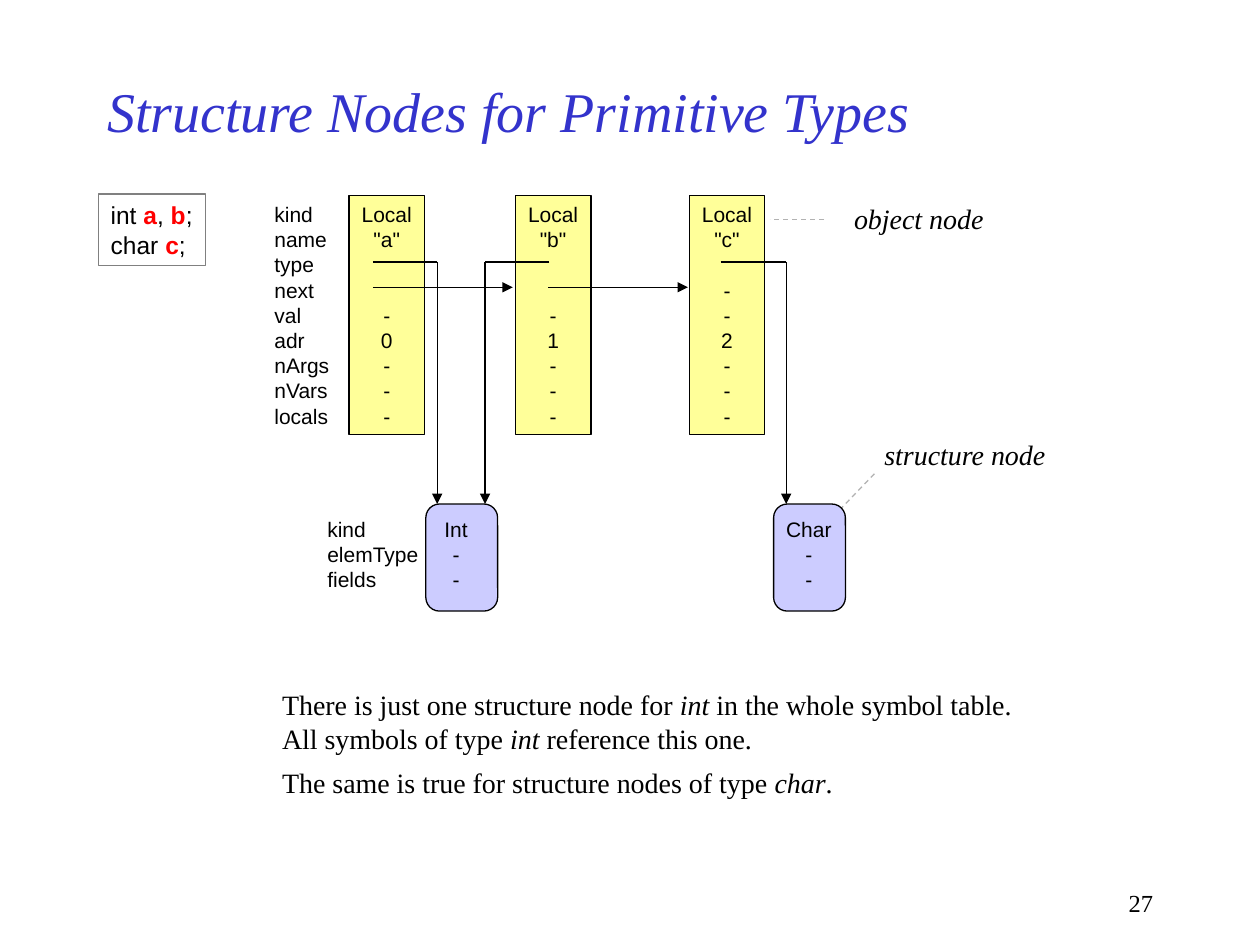
from lxml.etree import SubElement
from pptx import Presentation
from pptx.dml.color import RGBColor
from pptx.enum.dml import MSO_LINE
from pptx.enum.shapes import MSO_CONNECTOR, MSO_SHAPE
from pptx.enum.text import MSO_ANCHOR, MSO_AUTO_SIZE, PP_ALIGN
from pptx.oxml.ns import qn
from pptx.util import Inches, Pt

COLORS = {
    "title": "3333CC", "text": "000000", "variable": "FF0000",
    "object": "FFFF99", "structure": "CCCCFF",
    "frame": "808080", "pointer": "000000", "callout": "B2B2B2",
}
SANS, SERIF = "Arial", "Times New Roman"

TITLE = "Structure Nodes for Primitive Types"
PAGE_NUMBER = "27"
DECLARATIONS = [
    [("int ", ""), ("a", "v"), (", ", ""), ("b", "v"), (";", "")],
    [("char ", ""), ("c", "v"), (";", "")],
]
REMARKS = [
    [("There is just one structure node for ", ""), ("int", "i"), (" in the whole symbol table.", "")],
    [("All symbols of type ", ""), ("int", "i"), (" reference this one.", "")],
    [("The same is true for structure nodes of type ", ""), ("char", "i"), (".", "")],
]
OBJECT_FIELDS = ["kind", "name", "type", "next", "val", "adr", "nArgs", "nVars", "locals"]
STRUCTURE_FIELDS = ["kind", "elemType", "fields"]
OBJECT_NODES = [
    (2.77, ["Local", '"a"', None, None, "-", "0", "-", "-", "-"]),
    (4.09, ["Local", '"b"', None, None, "-", "1", "-", "-", "-"]),
    (5.47, ["Local", '"c"', None, "-", "-", "2", "-", "-", "-"]),
]
STRUCTURE_NODES = [
    (3.38, 3.43, 0.38, ["Int", "-", "-"]),
    (6.14, 6.14, 0.56, ["Char", "-", "-"]),
]
TYPE_POINTERS = [(2.96, 3.47), (4.36, 3.85), (5.72, 6.24)]
NEXT_POINTERS = [(2.96, 4.07), (4.35, 5.46)]
CALLOUTS = [
    ("object node", (6.68, 1.55, 1.23, 0.37), (6.54, 1.74, 6.11, 1.74)),
    ("structure node", (6.92, 3.42, 1.48, 0.37), (6.94, 3.76, 6.68, 4.03)),
]

ROW, PAD = 0.2, 0.05
OBJECT_TOP, OBJECT_WIDTH = 1.55, 0.6
OBJECT_HEIGHT = len(OBJECT_FIELDS) * ROW + 2 * PAD
STRUCTURE_TOP, STRUCTURE_WIDTH, STRUCTURE_HEIGHT = 4, 0.57, 0.85
STRUCTURE_TEXT_TOP = STRUCTURE_TOP + PAD
STRUCTURE_TEXT_HEIGHT = len(STRUCTURE_FIELDS) * ROW + 2 * PAD
LEADING = 1.2

prs = Presentation()
prs.slide_width, prs.slide_height = Inches(10), Inches(7.5)
slide = prs.slides.add_slide(prs.slide_layouts[5])


def color(key):
    return RGBColor.from_string(COLORS[key])


def place(box):
    return [Inches(length) for length in box]


def add_run(paragraph, words, size, font, shade="text", italic=False, bold=False):
    run = paragraph.add_run()
    run.text = words
    run.font.size, run.font.name = Pt(size), font
    run.font.italic, run.font.bold = italic, bold
    run.font.color.rgb = color(shade)


def write(holder, lines, size, font, align=PP_ALIGN.LEFT):
    frame = holder.text_frame
    frame.word_wrap = False
    frame.auto_size = MSO_AUTO_SIZE.NONE
    frame.vertical_anchor = MSO_ANCHOR.TOP
    skipped, paragraph = 0, None
    for line in lines:
        if line is None:
            skipped += 1
            continue
        paragraph = frame.add_paragraph() if paragraph else frame.paragraphs[0]
        paragraph.alignment = align
        paragraph.line_spacing = Pt(size * LEADING)
        paragraph.space_before = Pt(skipped * size * LEADING)
        skipped = 0
        for words, style in [(line, "")] if isinstance(line, str) else line:
            add_run(paragraph, words, size, font, "variable" if style == "v" else "text",
                    style == "i", style == "v")


def add_text(box, lines, size, font, align=PP_ALIGN.LEFT):
    label = slide.shapes.add_textbox(*place(box))
    write(label, lines, size, font, align)
    return label


def add_node(preset, box, fill=None, border="pointer"):
    node = slide.shapes.add_shape(preset, *place(box))
    node.shadow.inherit = False
    if fill:
        node.fill.solid()
        node.fill.fore_color.rgb = color(fill)
    else:
        node.fill.background()
    node.line.color.rgb = color(border)
    node.line.width = Pt(0.75)
    return node


def add_line(ends, shade="pointer", arrow=False, dashed=False):
    link = slide.shapes.add_connector(MSO_CONNECTOR.STRAIGHT, *place(ends))
    link.line.color.rgb = color(shade)
    link.line.width = Pt(0.75)
    if dashed:
        link.line.dash_style = MSO_LINE.DASH
    if arrow:
        SubElement(link.line._get_or_add_ln(), qn("a:tailEnd"), type="triangle")
    SubElement(link._element.spPr, qn("a:effectLst"))


def row_line(field):
    return OBJECT_TOP + (OBJECT_FIELDS.index(field) + 0.65) * ROW


title = slide.shapes.title
title.left, title.top, title.width, title.height = place((0.75, 0.5, 7.5, 0.75))
title.text_frame.vertical_anchor = MSO_ANCHOR.MIDDLE
title.text_frame.auto_size = MSO_AUTO_SIZE.NONE
heading = title.text_frame.paragraphs[0]
heading.alignment = PP_ALIGN.LEFT
add_run(heading, TITLE, 32, SERIF, "title", italic=True)

for caption, box, ends in CALLOUTS:
    add_text(box, [[(caption, "i")]], 16, SERIF)
    add_line(ends, "callout", dashed=True)

remarks = add_text((2.14, 5.41, 5.99, 0.99), REMARKS, 16, SERIF)
remarks.text_frame.paragraphs[-1].space_before = Pt(6)

code = add_node(MSO_SHAPE.RECTANGLE, (0.78, 1.54, 0.85, 0.57), border="frame")
write(code, DECLARATIONS, 14, SANS)

add_text((2.08, OBJECT_TOP, 0.63, OBJECT_HEIGHT), OBJECT_FIELDS, 12, SANS)
for left, values in OBJECT_NODES:
    node = add_node(MSO_SHAPE.RECTANGLE, (left, OBJECT_TOP, OBJECT_WIDTH, OBJECT_HEIGHT), "object")
    write(node, values, 12, SANS, PP_ALIGN.CENTER)

add_text((2.5, STRUCTURE_TEXT_TOP, 0.93, STRUCTURE_TEXT_HEIGHT), STRUCTURE_FIELDS, 12, SANS)
for left, text_left, text_width, values in STRUCTURE_NODES:
    node = add_node(MSO_SHAPE.ROUNDED_RECTANGLE,
                    (left, STRUCTURE_TOP, STRUCTURE_WIDTH, STRUCTURE_HEIGHT), "structure")
    node.adjustments[0] = 0.19
    add_text((text_left, STRUCTURE_TEXT_TOP, text_width, STRUCTURE_TEXT_HEIGHT),
             values, 12, SANS, PP_ALIGN.CENTER)

type_y, next_y = row_line("type"), row_line("next")
for start, drop in TYPE_POINTERS:
    add_line((start, type_y, drop, type_y))
    add_line((drop, type_y, drop, STRUCTURE_TOP), arrow=True)
for start, end in NEXT_POINTERS:
    add_line((start, next_y, end, next_y), arrow=True)

add_text((7.17, 7, 2.08, 0.33), [PAGE_NUMBER], 14, SERIF, PP_ALIGN.RIGHT).text_frame.word_wrap = True

prs.save("out.pptx")
